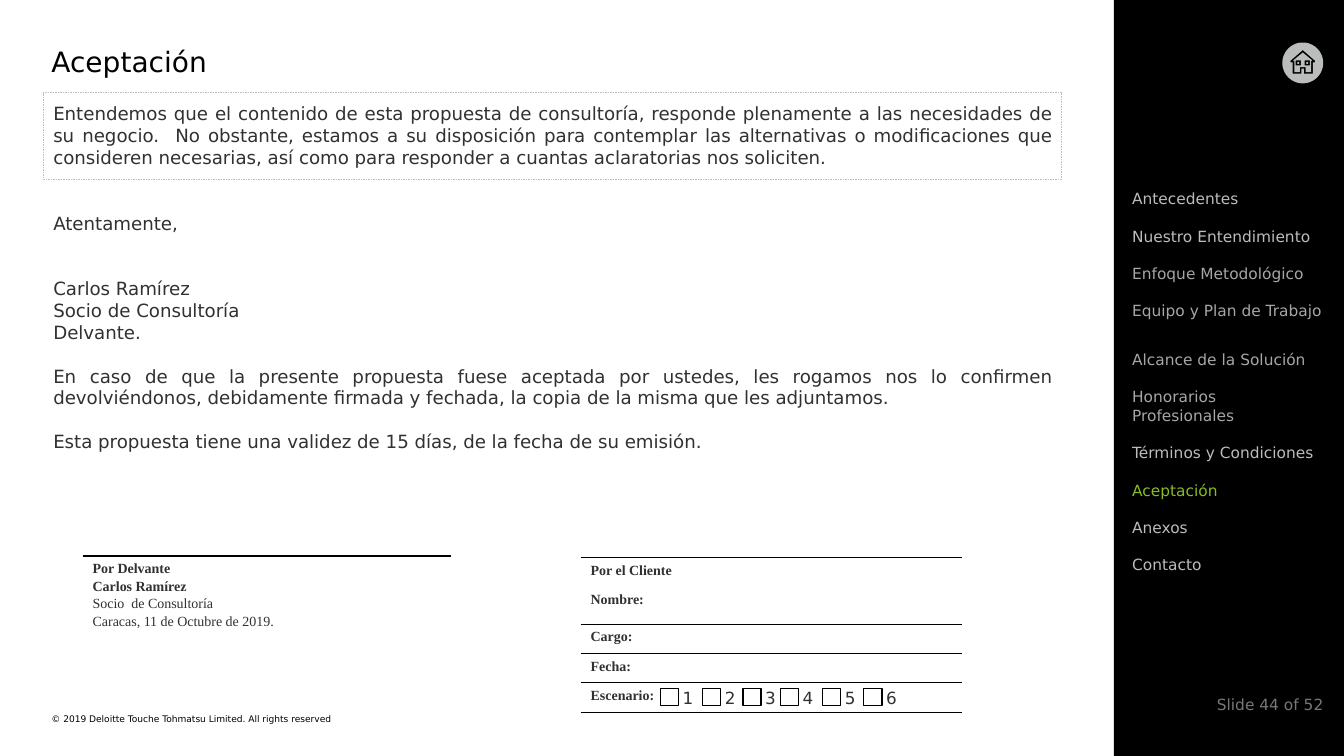
import math

from lxml import etree
from pptx import Presentation, util as u
from pptx.dml.color import RGBColor
from pptx.enum import dml, shapes, text
from pptx.oxml import ns

BLACK = RGBColor(0x00, 0x00, 0x00)
INK = RGBColor(0x31, 0x31, 0x31)
SILVER = RGBColor(0xBB, 0xBC, 0xBC)
MUTED = RGBColor(0xA6, 0xA6, 0xA6)
SLATE = RGBColor(0x75, 0x78, 0x7B)
FRAME = RGBColor(0xBF, 0xBF, 0xBF)
GREEN = RGBColor(0x86, 0xBC, 0x25)

BLANK_LINE = 15.6
LETTER = [
    ("Entendemos que el contenido de esta propuesta de consultoría, responde plenamente a las "
     "necesidades de su negocio.  No obstante, estamos a su disposición para contemplar las "
     "alternativas o modificaciones que consideren necesarias, así como para responder a cuantas "
     "aclaratorias nos soliciten.", 0),
    ("Atentamente,", 2),
    ("Carlos Ramírez", 2),
    ("Socio de Consultoría", 0),
    ("Delvante.", 0),
    ("En caso de que la presente propuesta fuese aceptada por ustedes, les rogamos nos lo "
     "confirmen devolviéndonos, debidamente firmada y fechada, la copia de la misma que les "
     "adjuntamos.", 1),
    ("Esta propuesta tiene una validez de 15 días, de la fecha de su emisión.", 1),
]
SECTIONS = [
    ("Antecedentes", SILVER, 26.5),
    ("Nuestro Entendimiento", SILVER, 26.5),
    ("Enfoque Metodológico", MUTED, 26.5),
    ("Equipo y Plan de Trabajo", MUTED, 35.2),
    ("Alcance de la Solución", MUTED, 26.5),
    ("Honorarios Profesionales", MUTED, 40.2),
    ("Términos y Condiciones", SILVER, 26.5),
    ("Aceptación", GREEN, 26.5),
    ("Anexos", SILVER, 26.5),
    ("Contacto", SILVER, 26.5),
]
SIGNER = [("Por Delvante", True), ("Carlos Ramírez", True),
          ("Socio  de Consultoría", False), ("Caracas, 11 de Octubre de 2019.", False)]
CLIENT_FIELDS = ["Por el Cliente", "Nombre:", "Cargo:", "Fecha:", "Escenario:"]
SCENARIO_LEFTS = [471.6, 501.8, 530.6, 557.3, 587.5, 617]
HOUSE_OUTSIDE = [(0, -9.2), (9, -1.4), (8.6, -0.4), (7.2, -0.4), (7.2, 7.6), (0.9, 7.6), (0.9, 4)]
HOUSE_INSIDE = [(0, -7.4), (6.8, -1.8), (6, -1.4), (6, 6.5), (2, 6.5), (2, 3)]


class ProposalSlide:
    """Hold the style and current slide, and add each kind of element to it."""

    sans = "DejaVu Sans"
    serif = "Times New Roman"

    def __init__(self, deck):
        self.slide = deck.slides.add_slide(deck.slide_layouts[5])
        self.items = self.slide.shapes

    def style(self, paragraph, size, color, font=sans, bold=False):
        for run in paragraph.runs:
            run.font.name = font
            run.font.size = u.Pt(size)
            run.font.bold = bold
            run.font.color.rgb = color

    def bare_frame(self, frame):
        frame.word_wrap = True
        frame.vertical_anchor = text.MSO_ANCHOR.TOP
        frame.margin_left = frame.margin_right = frame.margin_top = frame.margin_bottom = 0

    def title(self, wording, *box):
        heading = self.items.title
        heading.left, heading.top, heading.width, heading.height = map(u.Pt, box)
        frame = heading.text_frame
        frame.text = wording
        frame.auto_size = text.MSO_AUTO_SIZE.NONE
        self.bare_frame(frame)
        frame.paragraphs[0].alignment = text.PP_ALIGN.LEFT
        self.style(frame.paragraphs[0], 20, BLACK)

    def label(self, wording, size, color, *box, align=text.PP_ALIGN.LEFT):
        frame = self.items.add_textbox(*map(u.Pt, box)).text_frame
        frame.text = wording
        self.bare_frame(frame)
        frame.paragraphs[0].alignment = align
        self.style(frame.paragraphs[0], size, color)

    def letter(self, passages, *box):
        frame = self.items.add_textbox(*map(u.Pt, box)).text_frame
        frame.word_wrap = True
        for index, (wording, gap) in enumerate(passages):
            passage = frame.add_paragraph() if index else frame.paragraphs[0]
            passage.text = wording
            passage.alignment = text.PP_ALIGN.JUSTIFY
            passage.space_before = u.Pt(gap * BLANK_LINE)
            self.style(passage, 13, INK)

    def rectangle(self, *box, fill=None, line=None, width=1, dash=None):
        panel = self.items.add_shape(shapes.MSO_SHAPE.RECTANGLE, *map(u.Pt, box))
        panel.shadow.inherit = False
        if fill is None:
            panel.fill.background()
        else:
            panel.fill.solid()
            panel.fill.fore_color.rgb = fill
        if line is None:
            panel.line.fill.background()
        else:
            panel.line.color.rgb = line
            panel.line.width = u.Pt(width)
            panel.line.dash_style = dash

    def home_icon(self, x, y, radius):
        circle = [(radius * math.cos(math.radians(a)), radius * math.sin(math.radians(a)))
                  for a in range(0, 360, 5)]
        outlines = [circle]
        for half in (HOUSE_OUTSIDE, HOUSE_INSIDE):
            outlines.append(half + [(-dx, dy) for dx, dy in half[:0:-1]])
        for center in (-3.2, 3.2):
            for half in (1.8, 0.7):
                outlines.append([(center - half, -half), (center + half, -half),
                                 (center + half, half), (center - half, half)])
        paths = [[((x + dx) * 100, (y + dy) * 100) for dx, dy in outline] for outline in outlines]
        builder = self.items.build_freeform(*paths[0][0], scale=u.Pt(1) / 100)
        builder.add_line_segments(paths[0][1:], close=True)
        for path_points in paths[1:]:
            builder.move_to(*path_points[0])
            builder.add_line_segments(path_points[1:], close=True)
        icon = builder.convert_to_shape()
        icon.shadow.inherit = False
        icon.fill.solid()
        icon.fill.fore_color.rgb = SILVER
        icon.line.fill.background()

    def border(self, cell, side, ruled):
        edge = etree.Element(ns.qn("a:" + side), w=str(u.Pt(1)))
        if ruled:
            solid = etree.SubElement(edge, ns.qn("a:solidFill"))
            etree.SubElement(solid, ns.qn("a:srgbClr"), val=str(BLACK))
        else:
            etree.SubElement(edge, ns.qn("a:noFill"))
        cell._tc.get_or_add_tcPr().insert(0, edge)

    def signature_table(self, left, top, width, heights, contents, ruled_rows):
        box = map(u.Pt, (left, top, width, sum(heights)))
        grid = self.items.add_table(len(heights), 1, *box).table
        grid.first_row = grid.horz_banding = False
        for row, (height, lines) in enumerate(zip(heights, contents)):
            grid.rows[row].height = u.Pt(height)
            cell = grid.cell(row, 0)
            cell.fill.background()
            self.border(cell, "lnB", row in ruled_rows)
            self.border(cell, "lnT", row - 1 in ruled_rows)
            self.border(cell, "lnR", False)
            self.border(cell, "lnL", False)
            cell.text_frame.text = "\n".join(wording for wording, _ in lines)
            for index, (entry, (_, bold)) in enumerate(zip(cell.text_frame.paragraphs, lines)):
                entry.space_before = u.Pt(1.5 if index else 0)
                self.style(entry, 10, INK, self.serif, bold)


def main():
    deck = Presentation()
    deck.slide_width, deck.slide_height = u.Pt(960), u.Pt(540)
    page = ProposalSlide(deck)
    page.label("© 2019 Deloitte Touche Tohmatsu Limited. All rights reserved", 6.5, BLACK,
               36.7, 509.8, 421.9, 7.9)
    page.rectangle(795.6, 0, 164.4, 540, fill=BLACK)
    page.label("Slide 44 of 52", 11, SLATE, 809.3, 496.8, 136.1, 13.4,
               align=text.PP_ALIGN.RIGHT)
    page.home_icon(930.6, 45, 14.6)
    top = 135.4
    for section, color, advance in SECTIONS:
        page.label(section, 11, color, 808.6, top, 136.1, 13.4)
        top += advance
    page.title("Aceptación", 36.7, 31.7, 721.4, 26.6)
    page.letter(LETTER, 31, 69.8, 727.2, 259.2)
    page.rectangle(31, 66.2, 727.2, 61.9, line=FRAME, width=0.25, dash=dml.MSO_LINE.DASH)
    page.signature_table(59, 330.2, 262.8, [67, 67], [[], SIGNER], {0})
    page.signature_table(414.7, 323.6, 272.2, [74.9, 20.9, 26.6, 20.9, 20.9, 20.9],
                         [[]] + [[(field, True)] for field in CLIENT_FIELDS], {0, 2, 3, 4, 5})
    for number, left in enumerate(SCENARIO_LEFTS, 1):
        page.rectangle(left, 491.8, 13, 12.2, line=BLACK)
        page.label(str(number), 12, INK, left + 16, 491, 10.8, 14.4)
    deck.save("out.pptx")


if __name__ == "__main__":
    main()
